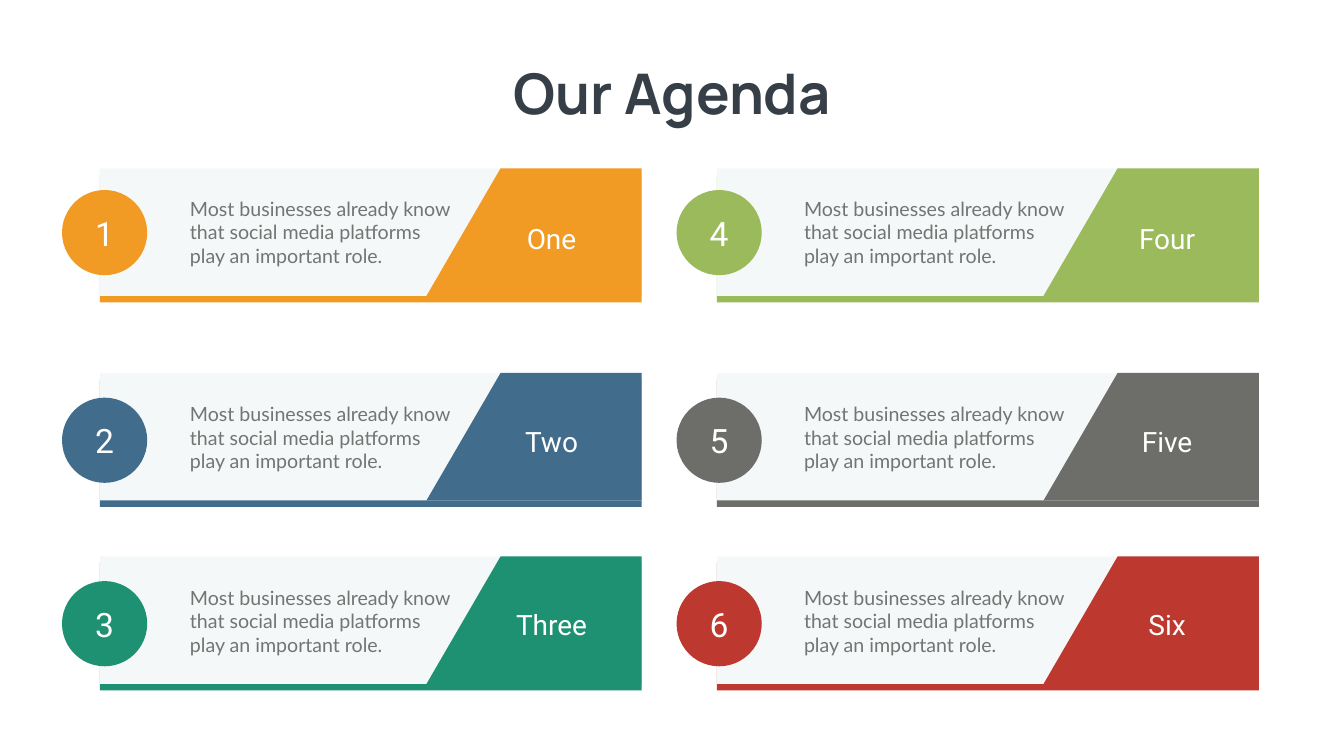
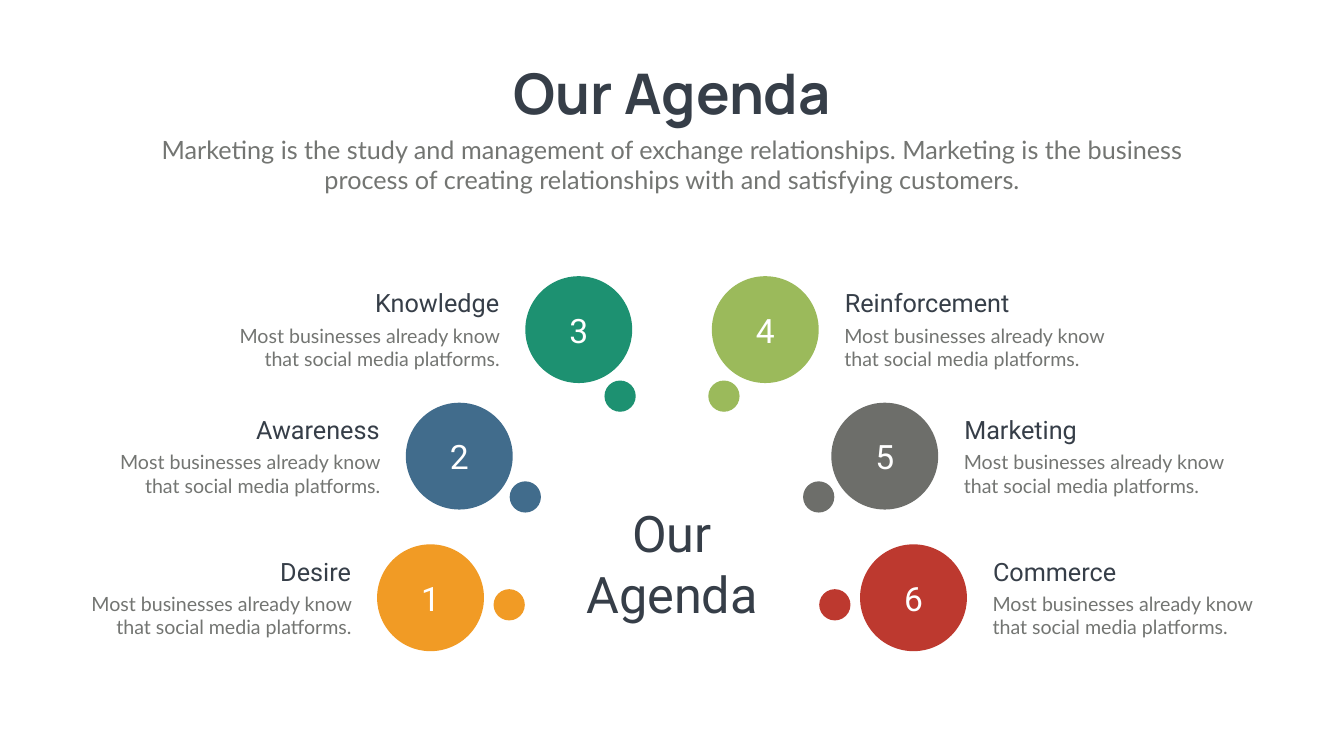
from pptx import Presentation
from pptx import util as u
from pptx.dml.color import RGBColor
from pptx.enum import shapes, text

PX = 9144  # EMU per px, 100 px to the inch
WIDTH, HEIGHT = 2666, 1500

WHITE = RGBColor(0xFF, 0xFF, 0xFF)
PALE = RGBColor(0xF5, 0xF8, 0xF9)
INK = RGBColor(0x36, 0x3E, 0x48)
GREY = RGBColor(0x73, 0x75, 0x72)
ORANGE = RGBColor(0xF1, 0x9B, 0x25)
BLUE = RGBColor(0x41, 0x6C, 0x8C)
TEAL = RGBColor(0x1D, 0x91, 0x71)
GREEN = RGBColor(0x9B, 0xBA, 0x5B)
STONE = RGBColor(0x6D, 0x6E, 0x6A)
RED = RGBColor(0xBD, 0x39, 0x2F)

LEFT, CENTER, RIGHT = text.PP_ALIGN.LEFT, text.PP_ALIGN.CENTER, text.PP_ALIGN.RIGHT
RECT, OVAL = shapes.MSO_SHAPE.RECTANGLE, shapes.MSO_SHAPE.OVAL

TITLE = "Our Agenda"
INTRO = ("Marketing is the study and management of exchange relationships. "
         "Marketing is the business process of creating relationships with "
         "and satisfying customers.")
SHORT_BODY = "Most businesses already know that social media platforms."
LONG_BODY = ("Most businesses already know that social media platforms "
             "play an important role.")

# Cards: label, colour, label width; down the left column, then the right
CARDS = [
    ("One", ORANGE, 358), ("Two", BLUE, 358), ("Three", TEAL, 358),
    ("Four", GREEN, 358), ("Five", STONE, 492), ("Six", RED, 492),
]
# Card left, badge left, body left, label centre
COLUMNS = [(198, 123, 367, 1094), (1422, 1342, 1585, 2315)]
# Card top, badge top, body top, label top
ROWS = [(334, 377, 385, 435), (740, 789, 793, 837), (1104, 1153, 1157, 1201)]
CARD_W, CARD_H, RULE_H = 1075, 253, 13
TAB_W, TAB_SLANT, BADGE = 427, 147, 169

# Arc, bottom to top: circle left and top, dot left and top,
# then number, heading and colour for the left side and the right side
ARC = [
    (748, 1080, 979, 1169, ("1", "Desire", ORANGE), ("6", "Commerce", RED)),
    (805, 799, 1011, 955, ("2", "Awareness", BLUE), ("5", "Marketing", STONE)),
    (1042, 548, 1199, 755, ("3", "Knowledge", TEAL), ("4", "Reinforcement", GREEN)),
]
CIRCLE, DOT = 212, 62
HEADING_W, BODY_W = 358, 568


def write(tf, words, size, color, font="Roboto", align=LEFT, bold=False, wrap=True):
    tf.word_wrap = wrap
    p = tf.paragraphs[0]
    p.alignment = align
    r = p.add_run()
    r.text = words
    r.font.name, r.font.size, r.font.bold = font, u.Pt(size), bold
    r.font.color.rgb = color


def add_text(slide, box, words, size, color, **style):
    sp = slide.shapes.add_textbox(*(v * PX for v in box))
    write(sp.text_frame, words, size, color, **style)
    sp.text_frame.auto_size = text.MSO_AUTO_SIZE.SHAPE_TO_FIT_TEXT


def paint(sp, color):
    sp.shadow.inherit = False
    sp.fill.solid()
    sp.fill.fore_color.rgb = color
    sp.line.fill.background()
    return sp


def add_block(slide, preset, box, color):
    return paint(slide.shapes.add_shape(preset, *(v * PX for v in box)), color)


def add_badge(slide, x, y, size, number, color):
    sp = add_block(slide, OVAL, (x, y, size, size), color)
    tf = sp.text_frame
    tf.vertical_anchor = text.MSO_ANCHOR.MIDDLE
    write(tf, number, 48, WHITE, align=CENTER, wrap=False)


def add_tab(slide, right, top, color):
    """Slanted label panel at the right end of a card."""
    left, bottom = right - TAB_W, top + CARD_H
    path = slide.shapes.build_freeform(left + TAB_SLANT, top, scale=PX)
    path.add_line_segments([(right, top), (right, bottom), (left, bottom)], close=True)
    paint(path.convert_to_shape(), color)


def new_slide(prs):
    slide = prs.slides.add_slide(prs.slide_layouts[6])
    add_text(slide, (978, 112, 711, 145), TITLE, 80, INK,
             font="Manrope", align=CENTER, bold=True, wrap=False)
    return slide


def cards_slide(prs):
    slide = new_slide(prs)
    for i, (label, color, label_w) in enumerate(CARDS):
        col, row = divmod(i, len(ROWS))
        x, badge_x, body_x, label_mid = COLUMNS[col]
        y, badge_y, body_y, label_y = ROWS[row]
        add_block(slide, RECT, (x, y + RULE_H, CARD_W, CARD_H), color)
        add_block(slide, RECT, (x, y, CARD_W, CARD_H), PALE)
        add_tab(slide, x + CARD_W, y, color)
        add_text(slide, (label_mid - label_w // 2, label_y, label_w, 77),
                 label, 40, WHITE, align=CENTER)
        add_text(slide, (body_x, body_y, 548, 151), LONG_BODY, 28, GREY, font="Lato")
        add_badge(slide, badge_x, badge_y, BADGE, str(i + 1), color)


def arc_slide(prs):
    slide = new_slide(prs)
    add_text(slide, (292, 261, 2082, 131), INTRO, 36, GREY, font="Lato", align=CENTER)
    for x, y, dot_x, dot_y, *sides in ARC:
        for mirrored, (number, heading, color) in enumerate(sides):
            def place(left, width):
                return WIDTH - left - width if mirrored else left

            align = LEFT if mirrored else RIGHT
            add_badge(slide, place(x, CIRCLE), y, CIRCLE, number, color)
            add_block(slide, OVAL, (place(dot_x, DOT), dot_y, DOT, DOT), color)
            add_text(slide, (place(x - 609, BODY_W), y + 89, BODY_W, 104),
                     SHORT_BODY, 28, GREY, font="Lato", align=align)
            add_text(slide, (place(x - 400, HEADING_W), y + 18, HEADING_W, 71),
                     heading, 36, INK, align=align)
    add_text(slide, (1106, 992, 454, 252), TITLE, 72, INK, align=CENTER)


def main():
    prs = Presentation()
    prs.slide_width, prs.slide_height = WIDTH * PX, HEIGHT * PX
    cards_slide(prs)
    arc_slide(prs)
    prs.save("out.pptx")


if __name__ == "__main__":
    main()
